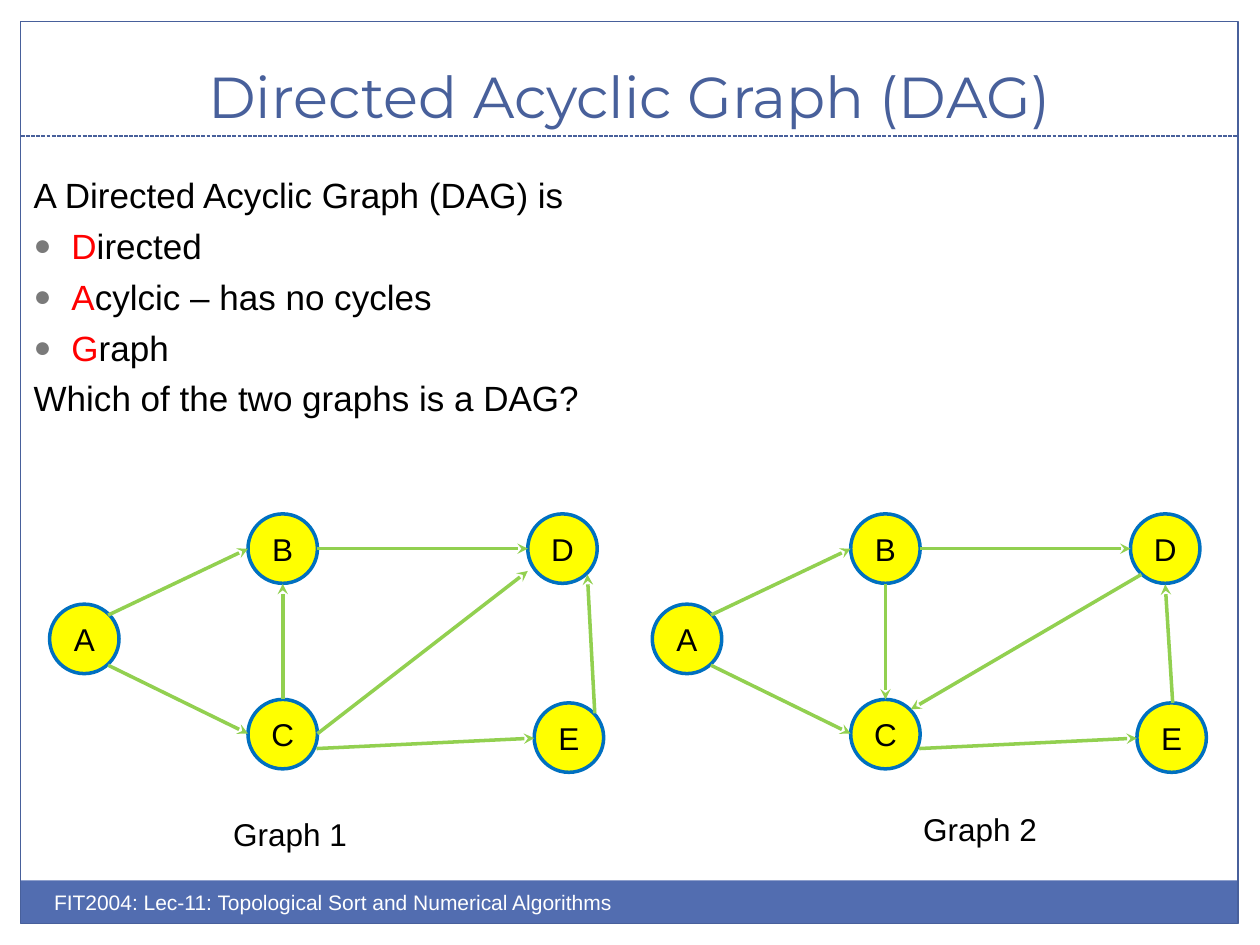
from lxml import etree
from pptx import Presentation
from pptx.dml.color import RGBColor
from pptx.enum.dml import MSO_LINE
from pptx.enum.shapes import MSO_CONNECTOR, MSO_SHAPE
from pptx.enum.text import MSO_ANCHOR, PP_ALIGN
from pptx.oxml.ns import qn
from pptx.util import Cm, Pt

WHITE = RGBColor(0xFF, 0xFF, 0xFF)
BLACK = RGBColor(0x00, 0x00, 0x00)
RED = RGBColor(0xFF, 0x00, 0x00)
YELLOW = RGBColor(0xFF, 0xFF, 0x00)
FRAME_BLUE = RGBColor(0x48, 0x60, 0x9B)
FOOTER_BLUE = RGBColor(0x52, 0x6D, 0xB0)
NODE_BLUE = RGBColor(0x00, 0x70, 0xC0)
EDGE_GREEN = RGBColor(0x92, 0xD0, 0x50)
BULLET_GREY = RGBColor(0x7A, 0x7A, 0x7A)

NODE_SIZE = 1.4
GRAPH_SHIFT = 12.15

# Lengths are in centimetres; each node is given by its left and top.
NODES = {
    "A": (1.0, 12.18),
    "B": (5.0, 10.36),
    "C": (5.0, 14.1),
    "D": (10.64, 10.36),
    "E": (10.77, 14.17),
}
# Each edge is given by its start x, y and end x, y.
SHARED_EDGES = [
    (2.18, 12.4, 5.0, 11.06),    # A to B
    (2.18, 13.41, 5.0, 14.79),   # A to C
    (6.4, 11.06, 10.64, 11.06),  # B to D
    (6.38, 15.09, 10.77, 14.88), # C to E
]
GRAPH_1_EDGES = SHARED_EDGES + [
    (11.99, 14.38, 11.84, 11.58), # E to D
    (6.4, 14.79, 10.64, 11.51),   # C to D
    (5.7, 14.1, 5.7, 11.77),      # C to B
]
GRAPH_2_EDGES = SHARED_EDGES + [
    (11.49, 14.17, 11.34, 11.78), # E to D
    (10.86, 11.58, 6.21, 14.3),   # D to C
    (5.7, 11.77, 5.7, 14.1),      # B to C
]
# Highlighted initial, rest of the line; only lines with an initial are bulleted.
BODY_LINES = [
    ("", "A Directed Acyclic Graph (DAG) is"),
    ("D", "irected"),
    ("A", "cylcic – has no cycles"),
    ("G", "raph"),
    ("", "Which of the two graphs is a DAG?"),
]


def style_font(para, size, color, name="Arial"):
    para.font.name = name
    para.font.size = Pt(size)
    para.font.color.rgb = color


def add_label(page, text, left, top, width, height, size, color,
              name="Arial", wrap=True):
    box = page.shapes.add_textbox(Cm(left), Cm(top), Cm(width), Cm(height))
    box.text_frame.word_wrap = wrap
    para = box.text_frame.paragraphs[0]
    para.text = text
    style_font(para, size, color, name)
    return box


def add_line(shapes, x1, y1, x2, y2, color, width):
    line = shapes.add_connector(MSO_CONNECTOR.STRAIGHT,
                                Cm(x1), Cm(y1), Cm(x2), Cm(y2))
    line.line.color.rgb = color
    line.line.width = Pt(width)
    etree.SubElement(line._element.spPr, qn("a:effectLst"))
    return line


def add_frame(page):
    """Draw the footer band, the border and the dashed rule under the title."""
    band = page.shapes.add_shape(MSO_SHAPE.RECTANGLE,
                                 Cm(0.42), Cm(17.75), Cm(24.54), Cm(0.87))
    band.shadow.inherit = False
    band.fill.solid()
    band.fill.fore_color.rgb = FOOTER_BLUE
    band.line.fill.background()

    border = page.shapes.add_shape(MSO_SHAPE.RECTANGLE,
                                   Cm(0.42), Cm(0.43), Cm(24.54), Cm(18.19))
    border.shadow.inherit = False
    border.fill.background()
    border.line.color.rgb = FRAME_BLUE
    border.line.width = Pt(0.75)

    rule = add_line(page.shapes, 0.42, 2.74, 24.96, 2.74, FRAME_BLUE, 0.75)
    rule.line.dash_style = MSO_LINE.SQUARE_DOT


def add_bullet(para):
    properties = para._p.get_or_add_pPr()
    properties.set("marL", str(Cm(0.76)))
    properties.set("indent", str(-Cm(0.76)))
    color = etree.SubElement(properties, qn("a:buClr"))
    etree.SubElement(color, qn("a:srgbClr"), val=str(BULLET_GREY))
    etree.SubElement(properties, qn("a:buSzPct"), val="85000")
    etree.SubElement(properties, qn("a:buFont"), typeface="Arial")
    etree.SubElement(properties, qn("a:buChar"), char="●")


def add_body(page):
    box = page.shapes.add_textbox(Cm(0.43), Cm(3.38), Cm(24.33), Cm(12.7))
    frame = box.text_frame
    frame.word_wrap = True
    for index, (initial, rest) in enumerate(BODY_LINES):
        para = frame.add_paragraph() if index else frame.paragraphs[0]
        para.space_before = Pt(5)
        if initial:
            add_bullet(para)
            span = para.add_run()
            span.text = initial
            span.font.color.rgb = RED
        para.add_run().text = rest
        style_font(para, 20, BLACK)


def add_node(shapes, name, left, top):
    node = shapes.add_shape(MSO_SHAPE.OVAL, Cm(left), Cm(top),
                            Cm(NODE_SIZE), Cm(NODE_SIZE))
    node.shadow.inherit = False
    node.fill.solid()
    node.fill.fore_color.rgb = YELLOW
    node.line.color.rgb = NODE_BLUE
    node.line.width = Pt(2)
    frame = node.text_frame
    frame.margin_left = frame.margin_right = 0
    frame.margin_top = frame.margin_bottom = 0
    frame.vertical_anchor = MSO_ANCHOR.MIDDLE
    frame.word_wrap = False
    para = frame.paragraphs[0]
    para.text = name
    para.alignment = PP_ALIGN.CENTER
    style_font(para, 18, BLACK)


def add_graph(page, edges, shift):
    shapes = page.shapes.add_group_shape().shapes
    for name, (left, top) in NODES.items():
        add_node(shapes, name, left + shift, top)
    for x1, y1, x2, y2 in edges:
        edge = add_line(shapes, x1 + shift, y1, x2 + shift, y2, EDGE_GREEN, 2)
        etree.SubElement(edge.line._get_or_add_ln(), qn("a:tailEnd"),
                         type="stealth")


def main():
    deck = Presentation()
    deck.slide_width = Cm(25.4)
    deck.slide_height = Cm(19.05)
    page = deck.slides.add_slide(deck.slide_layouts[6])

    add_frame(page)
    title = add_label(page, "Directed Acyclic Graph (DAG)",
                      0.84, 0.64, 23.7, 2.11, 33, FRAME_BLUE, "Montserrat")
    title.text_frame.vertical_anchor = MSO_ANCHOR.BOTTOM
    title.text_frame.paragraphs[0].alignment = PP_ALIGN.CENTER
    add_label(page, "FIT2004: Lec-11: Topological Sort and Numerical Algorithms",
              0.84, 17.81, 12.7, 1.02, 12, WHITE)
    add_body(page)
    add_graph(page, GRAPH_2_EDGES, GRAPH_SHIFT)
    add_graph(page, GRAPH_1_EDGES, 0)
    add_label(page, "Graph 1", 4.45, 16.31, 2.82, 1.02, 18, BLACK, wrap=False)
    add_label(page, "Graph 2", 18.36, 16.21, 2.82, 1.02, 18, BLACK, wrap=False)

    deck.save("out.pptx")


if __name__ == "__main__":
    main()
